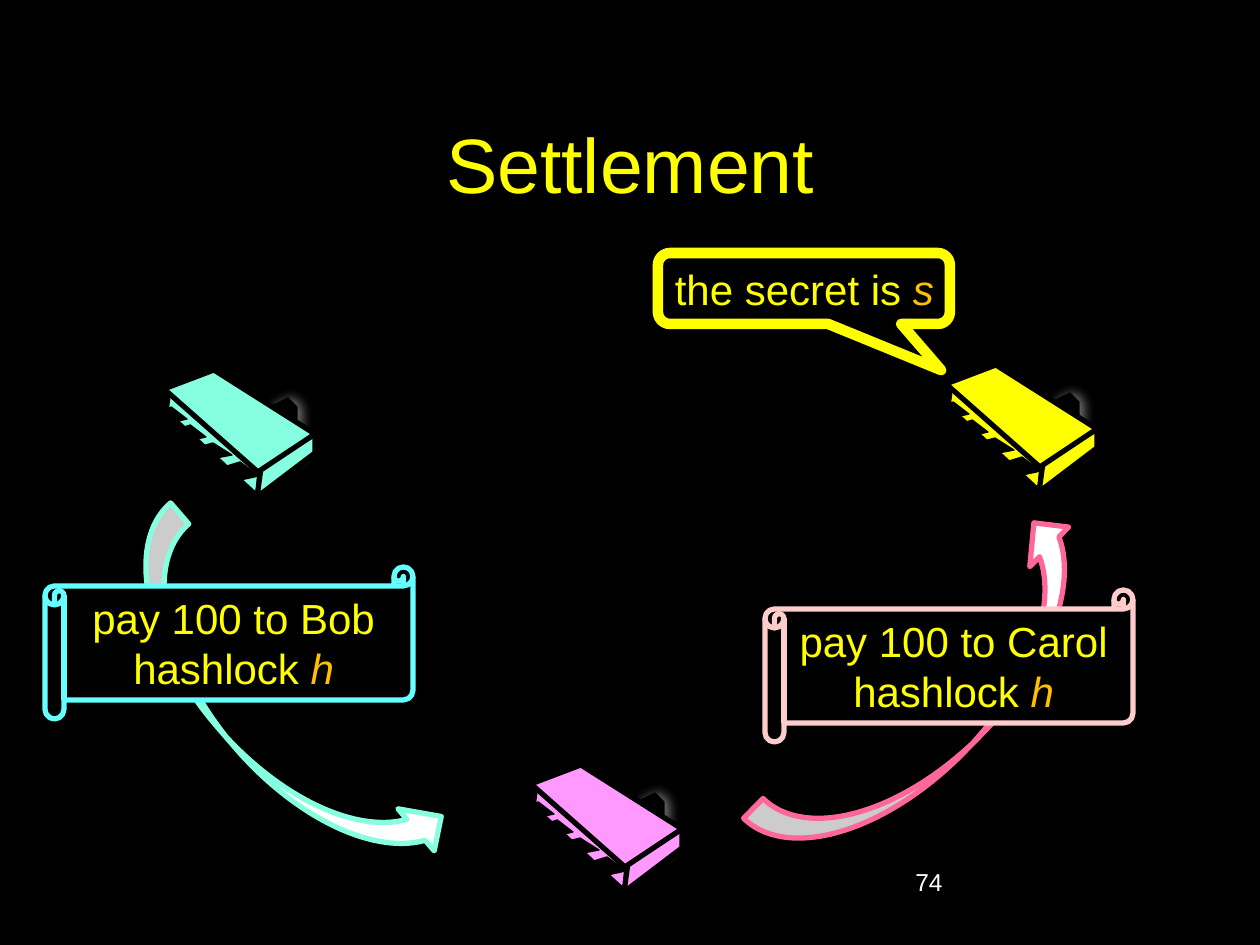
from dataclasses import dataclass

from lxml.etree import SubElement
from pptx import Presentation
from pptx.dml.color import RGBColor
from pptx.enum.shapes import MSO_SHAPE as Preset
from pptx.enum.text import MSO_ANCHOR as Anchor, PP_ALIGN as Align
from pptx.oxml.ns import qn
from pptx.util import Pt

PX = 914400 / 126


@dataclass(frozen=True)
class Theme:
    font: str = "Arial"
    black: str = "000000"
    white: str = "FFFFFF"
    yellow: str = "FFFF00"
    orange: str = "FFC000"
    mint: str = "85FFE0"
    cyan: str = "66FFFF"
    rose: str = "FF6699"
    blush: str = "FFCCCC"
    pink: str = "FF99FF"
    glow: str = "808080"
    title_size: int = 44
    body_size: int = 24
    number_size: int = 14


THEME = Theme()

# Chip outlines in px, relative to the chip's top left corner
REAR_LEG = [(0, 9), (18, 0), (27, 9), (27, 64), (18, 55), (18, 18), (0, 28)]
FRONT_LEG = [(26, 0), (45, 14), (13, 21), (13, 64), (0, 50), (0, 8)]
LONG_SIDE = [(19, 19), (110, 101), (108, 127), (16, 42)]
SHORT_SIDE = [(165, 64), (165, 83), (107, 127), (111, 98)]
TOP = [(64, 0), (165, 64), (108, 102), (14, 19)]

# Leg boxes: left, top, width, height
REAR_BOXES = [(150, 47, 27, 64), (120, 28, 27, 64), (92, 9, 27, 64), (64, 0, 27, 55)]
FRONT_BOXES = [(64, 92, 45, 64), (37, 73, 45, 55), (19, 55, 37, 55), (0, 37, 37, 55)]
GLOWING_LEG = 1


def emu(*lengths):
    return [round(length * PX) for length in lengths]


def color(value):
    return RGBColor.from_string(value)


def style(shape, fill, line, width):
    shape.shadow.inherit = False
    if fill:
        shape.fill.solid()
        shape.fill.fore_color.rgb = color(fill)
    else:
        shape.fill.background()
    shape.line.color.rgb = color(line)
    shape.line.width = Pt(width)


def write(shape, lines, size, ink, align, anchor=Anchor.MIDDLE, wrap=True):
    """Fill a shape with lines, each a (text, symbol) pair."""
    frame = shape.text_frame
    frame.word_wrap = wrap
    frame.vertical_anchor = anchor
    for index, (text, symbol) in enumerate(lines):
        paragraph = frame.add_paragraph() if index else frame.paragraphs[0]
        paragraph.alignment = align
        paragraph.font.name = THEME.font
        paragraph.font.size = Pt(size)
        paragraph.font.color.rgb = color(ink)
        paragraph.add_run().text = text
        if symbol:
            run = paragraph.add_run()
            run.text = symbol
            run.font.italic = True
            run.font.color.rgb = color(THEME.orange)


def add_label(slide, box, text, size, ink, align, anchor):
    write(slide.shapes.add_textbox(*emu(*box)), [(text, "")], size, ink, align, anchor)


def add_payment_arrow(slide, box, rotation, line):
    arrow = slide.shapes.add_shape(Preset.CURVED_DOWN_ARROW, *emu(*box))
    style(arrow, THEME.white, line, 3)
    arrow.rotation = rotation
    arrow.element.spPr.find(qn("a:xfrm")).set("flipH", "1")


def add_secret_callout(slide, box):
    callout = slide.shapes.add_shape(Preset.ROUNDED_RECTANGULAR_CALLOUT, *emu(*box))
    for index, value in enumerate((0.47, 1.15, 0.17)):
        callout.adjustments[index] = value
    style(callout, None, THEME.yellow, 6)
    write(callout, [("the secret is ", "s")], THEME.body_size, THEME.yellow,
          Align.RIGHT, wrap=False)


def add_contract(slide, box, lines, line):
    scroll = slide.shapes.add_shape(Preset.HORIZONTAL_SCROLL, *emu(*box))
    style(scroll, THEME.black, line, 3)
    write(scroll, lines, THEME.body_size, THEME.yellow, Align.CENTER)


def add_glow(shape):
    effects = shape.element.spPr.find(qn("a:effectLst"))
    blur, distance = emu(12, 4)
    shadow = SubElement(effects, qn("a:outerShdw"), blurRad=str(blur),
                        dist=str(distance), dir="0", rotWithShape="0")
    SubElement(shadow, qn("a:srgbClr"), val=THEME.glow)


def add_chip(slide, left, top, fill):
    parts = []

    def add_outline(points, paint, width):
        points = [emu(left + x, top + y) for x, y in points]
        builder = slide.shapes.build_freeform(*points[0])
        builder.add_line_segments(points[1:], close=True)
        part = builder.convert_to_shape()
        style(part, paint, THEME.black, width)
        parts.append(part)

    def add_legs(outline, boxes):
        full_width = max(x for x, _ in outline)
        full_height = max(y for _, y in outline)
        for x0, y0, width, height in boxes:
            points = [(x0 + x * width / full_width, y0 + y * height / full_height)
                      for x, y in outline]
            add_outline(points, THEME.black, 0.75)

    add_legs(REAR_LEG, REAR_BOXES)
    add_glow(parts[GLOWING_LEG])
    add_outline(LONG_SIDE, fill, 3)
    add_outline(SHORT_SIDE, fill, 3)
    add_legs(FRONT_LEG, FRONT_BOXES)
    add_outline(TOP, fill, 3)
    slide.shapes.add_group_shape(parts)


def build_settlement(slide):
    slide.background.fill.solid()
    slide.background.fill.fore_color.rgb = color(THEME.black)

    # Title and page number
    add_label(slide, (95, 84, 1071, 158), "Settlement", THEME.title_size,
              THEME.yellow, Align.CENTER, Anchor.MIDDLE)
    add_label(slide, (903, 861, 262, 63), "74", THEME.number_size,
              THEME.white, Align.LEFT, Anchor.TOP)

    # Payments between the parties
    add_payment_arrow(slide, (52, 651, 442, 111), 229.2, THEME.mint)
    add_payment_arrow(slide, (717, 644, 442, 111), 134.5, THEME.rose)
    add_secret_callout(slide, (658, 253, 292, 71))

    # Contracts
    add_contract(slide, (45, 567, 368, 152),
                 [("pay 100 to Bob hashlock ", "h")], THEME.cyan)
    add_contract(slide, (765, 590, 368, 152),
                 [("pay 100 to Carol", ""), ("hashlock ", "h")], THEME.blush)

    # Parties
    add_chip(slide, 932, 365, THEME.yellow)
    add_chip(slide, 150, 370, THEME.mint)
    add_chip(slide, 517, 765, THEME.pink)


def main():
    presentation = Presentation()
    presentation.slide_width, presentation.slide_height = emu(1260, 945)
    build_settlement(presentation.slides.add_slide(presentation.slide_layouts[6]))
    presentation.save("out.pptx")


if __name__ == "__main__":
    main()
